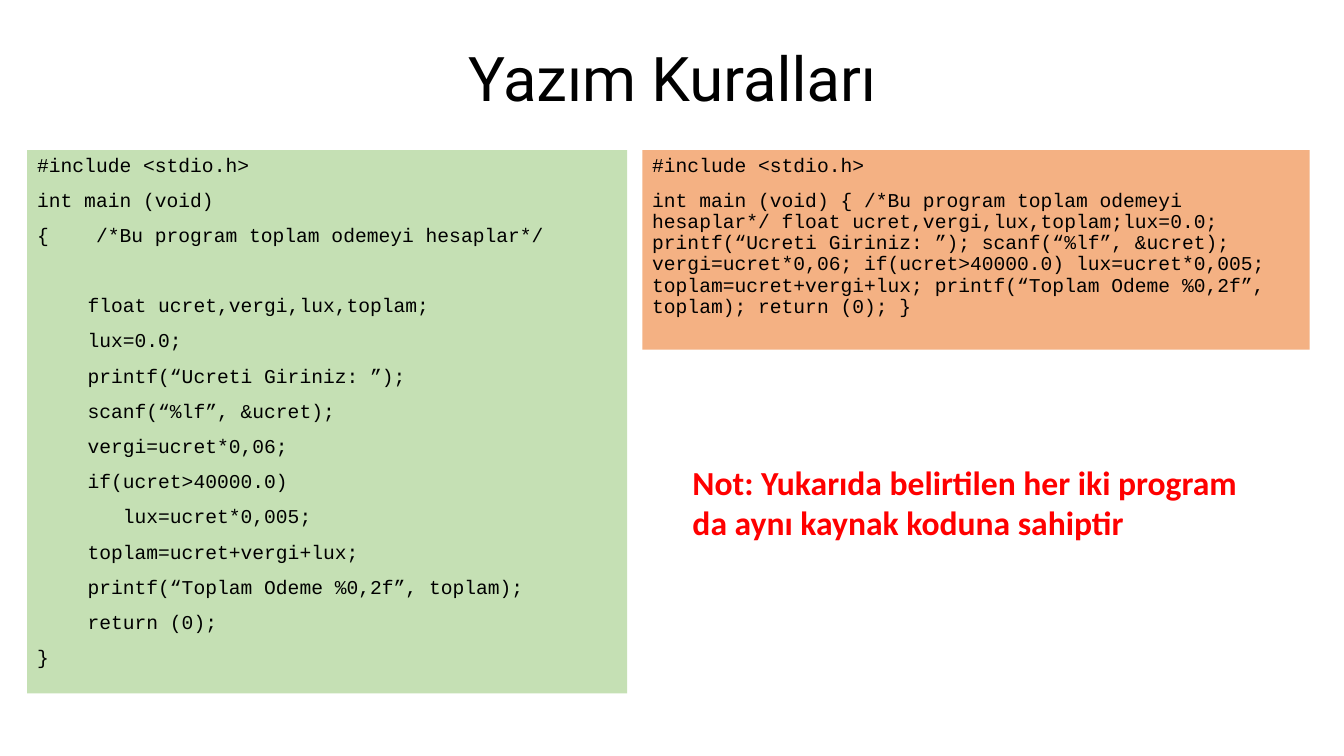
import pptx
import pptx.util
import pptx.dml.color
import pptx.enum.shapes
import pptx.enum.text

Inches, Pt = pptx.util.Inches, pptx.util.Pt
RGBColor = pptx.dml.color.RGBColor
MSO_ANCHOR = pptx.enum.text.MSO_ANCHOR
PP_ALIGN = pptx.enum.text.PP_ALIGN

BLACK = RGBColor(0x00, 0x00, 0x00)
RED = RGBColor(0xFF, 0x00, 0x00)
GREEN = RGBColor(0xC5, 0xE0, 0xB4)
ORANGE = RGBColor(0xF4, 0xB1, 0x83)

INDENTED_CODE = [
    "#include <stdio.h>",
    "int main (void)",
    "{    /*Bu program toplam odemeyi hesaplar*/",
    "\tfloat ucret,vergi,lux,toplam;",
    "\tlux=0.0;",
    "\tprintf(“Ucreti Giriniz: ”);",
    "\tscanf(“%lf”, &ucret);",
    "\tvergi=ucret*0,06;",
    "\tif(ucret>40000.0)",
    "\t   lux=ucret*0,005;",
    "\ttoplam=ucret+vergi+lux;",
    "\tprintf(“Toplam Odeme %0,2f”, toplam);",
    "\treturn (0);",
    "}",
]
COMPACT_CODE = [
    "#include <stdio.h>",
    "int main (void) { /*Bu program toplam odemeyi hesaplar*/ "
    "float ucret,vergi,lux,toplam;lux=0.0; printf(“Ucreti Giriniz: ”); "
    "scanf(“%lf”, &ucret); vergi=ucret*0,06; if(ucret>40000.0) "
    "lux=ucret*0,005; toplam=ucret+vergi+lux; "
    "printf(“Toplam Odeme %0,2f”, toplam); return (0); }",
]


def style(p, font, size, color, bold=False):
    p.font.name = font
    p.font.size = Pt(size)
    p.font.color.rgb = color
    p.font.bold = bold


prs = pptx.Presentation()
prs.slide_width, prs.slide_height = Inches(13.33), Inches(7.5)
s = prs.slides.add_slide(prs.slide_layouts[6])

# Title
title = s.shapes.add_textbox(Inches(0.92), Inches(0.4), Inches(11.5), Inches(0.82))
tf = title.text_frame
tf.word_wrap = True
tf.vertical_anchor = MSO_ANCHOR.MIDDLE
p = tf.paragraphs[0]
p.text = "Yazım Kuralları"
p.alignment = PP_ALIGN.CENTER
p.line_spacing = 0.9
style(p, "Roboto", 44, BLACK)

# Code panels: indented on the left, run together on the right
for left, width, height, fill, lines in [
    (0.27, 5.95, 5.39, GREEN, INDENTED_CODE),
    (6.37, 6.62, 1.98, ORANGE, COMPACT_CODE),
]:
    panel = s.shapes.add_shape(
        pptx.enum.shapes.MSO_SHAPE.RECTANGLE,
        Inches(left), Inches(1.49), Inches(width), Inches(height))
    panel.shadow.inherit = False
    panel.fill.solid()
    panel.fill.fore_color.rgb = fill
    panel.line.fill.background()
    tf = panel.text_frame
    tf.word_wrap = True
    tf.vertical_anchor = MSO_ANCHOR.TOP
    for i, line in enumerate(lines):
        p = tf.add_paragraph() if i else tf.paragraphs[0]
        p.text = line
        p.alignment = PP_ALIGN.LEFT
        p.line_spacing = 0.9
        # The declarations stand one line apart from the comment
        p.space_before = Pt(35 if line.startswith("\tfloat") else 10)
        style(p, "Courier New", 14, BLACK)

# Note
note = s.shapes.add_textbox(Inches(6.77), Inches(4.53), Inches(5.84), Inches(0.91))
tf = note.text_frame
tf.word_wrap = True
tf.auto_size = pptx.enum.text.MSO_AUTO_SIZE.SHAPE_TO_FIT_TEXT
p = tf.paragraphs[0]
p.text = "Not: Yukarıda belirtilen her iki program da aynı kaynak koduna sahiptir"
style(p, "Calibri", 24, RED, bold=True)

prs.save("out.pptx")
